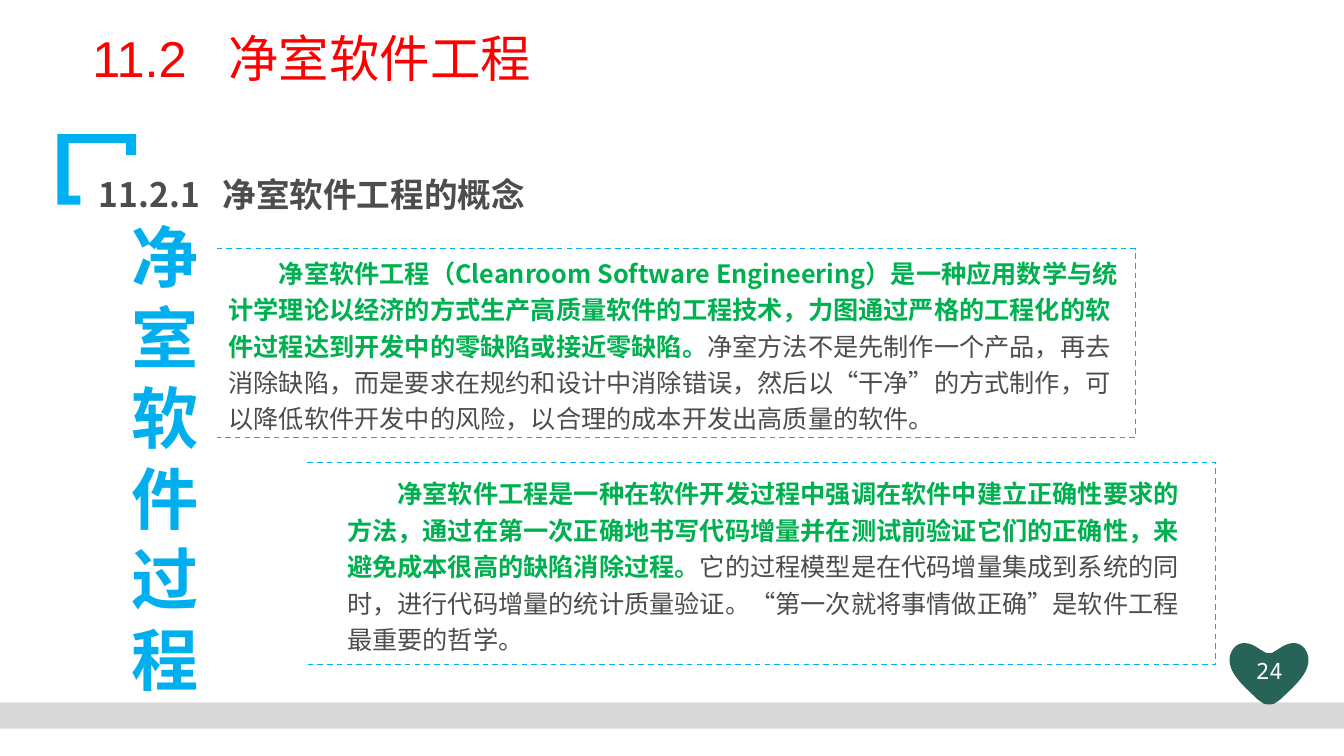
import pptx
import pptx.enum.dml
import pptx.enum.shapes
import pptx.enum.text
import pptx.oxml
import pptx.oxml.ns
import pptx.util
from lxml import etree
from pptx.dml.color import RGBColor

Cm, Pt = pptx.util.Cm, pptx.util.Pt
ALIGN, ANCHOR = pptx.enum.text.PP_ALIGN, pptx.enum.text.MSO_ANCHOR
CJK = "Noto Sans CJK SC"
COLORS = {
    "title": "FF0000", "accent": "00B0F0", "vertical": "01AFEE", "body": "4D4D4D",
    "key": "00B050", "band": "D9D9D9", "heart": "276357", "page": "FFFFFF",
}

# Corner bracket outline, in cm
BRACKET = [(1.45, 3.38), (3.43, 3.38), (3.43, 3.91), (3.18, 3.91), (3.18, 3.61),
           (1.73, 3.61), (1.73, 4.93), (2.03, 4.93), (2.03, 5.16), (1.45, 5.16)]

# Right half of the heart: curves as offsets from its axis, in cm
HEART_AXIS = 31.98
HEART_CURVES = [
    [(0, 16.46), (0.08, 16.46), (0.12, 16.43), (0.15, 16.41)],
    [(0.28, 16.33), (0.53, 16.15), (0.86, 16.13), (0.98, 16.51)],
    [(0.98, 16.51), (1.08, 16.92), (0.66, 17.27), (0.28, 17.63)],
    [(0.18, 17.7), (0.12, 17.75), (0.06, 17.75), (0, 17.75)],
]

# Text styles
TITLE = {"size": Pt(36), "name": "Arial", "bold": False, "color": "title"}
HEADING = {"size": Pt(24), "name": CJK, "bold": True, "color": "body"}
VERTICAL = {"size": Pt(48), "name": "Noto Sans CJK JP", "bold": True, "color": "vertical"}
KEY = {"size": Pt(18), "name": CJK, "bold": True, "color": "key"}
BODY = {**KEY, "bold": False, "color": "body"}
PAGE = {"size": Pt(16), "name": "Noto Sans Mono", "bold": False, "color": "page"}


def rgb(name):
    return RGBColor.from_string(COLORS[name])


def apply_format(target, values):
    for name, value in values.items():
        setattr(target, name, value)


def fill_text(shape, runs, frame_format, paragraph_format, tab=None, indent=None):
    """Write one paragraph of (text, style) runs into a shape."""
    frame = shape.text_frame
    apply_format(frame, {"word_wrap": True, **frame_format})
    paragraph = frame.paragraphs[0]
    properties = paragraph._p.get_or_add_pPr()
    if indent:
        properties.set("indent", str(indent))
    if tab:
        stops = etree.SubElement(properties, pptx.oxml.ns.qn("a:tabLst"))
        etree.SubElement(stops, pptx.oxml.ns.qn("a:tab"), pos=str(tab), algn="l")
    apply_format(paragraph, paragraph_format)
    for text, style in runs:
        run = paragraph.add_run()
        run.text = text
        apply_format(run.font, {k: v for k, v in style.items() if k != "color"})
        run.font.color.rgb = rgb(style["color"])
        east_asian = style["name"] if "CJK" in style["name"] else CJK
        etree.SubElement(run._r.get_or_add_rPr(), pptx.oxml.ns.qn("a:ea"),
                         typeface=east_asian)


def add_label(slide, box, text, style, frame_format, paragraph_format, tab=None):
    label = slide.shapes.add_textbox(*map(Cm, box))
    fill_text(label, [(text, style)], frame_format, paragraph_format, tab)


def add_outline(slide, points, close=True):
    start, *rest = [(Cm(x), Cm(y)) for x, y in points]
    builder = slide.shapes.build_freeform(*start)
    builder.add_line_segments(rest, close=close)
    outline = builder.convert_to_shape()
    outline.shadow.inherit = False
    return outline


def paint(shape, color):
    shape.shadow.inherit = False
    shape.fill.solid()
    shape.fill.fore_color.rgb = rgb(color)
    shape.line.fill.background()


def curve_points(curve, steps=12):
    """Sample a cubic curve at equal parameter steps."""
    for step in range(steps + 1):
        t = step / steps
        weights = ((1 - t) ** 3, 3 * t * (1 - t) ** 2, 3 * t * t * (1 - t), t ** 3)
        yield tuple(sum(w * p[axis] for w, p in zip(weights, curve)) for axis in (0, 1))


def add_heart(slide):
    half = [point for curve in HEART_CURVES for point in curve_points(curve)]
    right = [(HEART_AXIS + x, y) for x, y in half]
    left = [(HEART_AXIS - x, y) for x, y in reversed(half)]
    paint(add_outline(slide, right + left), "heart")


def add_panel(slide, box, margins, runs):
    """Text panel with a dashed border that is open on the left."""
    left, top, width, height = box
    right, bottom = left + width, top + height
    panel = add_outline(
        slide, [(left, top), (right, top), (right, bottom), (left, bottom)], close=False)
    panel.fill.background()
    panel.line.color.rgb = rgb("accent")
    apply_format(panel.line, {"width": Pt(1),
                              "dash_style": pptx.enum.dml.MSO_LINE.DASH})
    sides = ("margin_left", "margin_top", "margin_right", "margin_bottom")
    frame_format = {"vertical_anchor": ANCHOR.MIDDLE, **dict(zip(sides, map(Cm, margins)))}
    fill_text(panel, runs, frame_format,
              {"alignment": ALIGN.LEFT, "line_spacing": Pt(26)}, indent=Cm(1.27))


def main():
    deck = pptx.Presentation()
    apply_format(deck, {"slide_width": Cm(33.87), "slide_height": Cm(19.05)})
    slide = deck.slides.add_slide(deck.slide_layouts[6])

    # Frame: bracket, bottom band, heart with page number
    paint(add_outline(slide, BRACKET), "accent")
    paint(slide.shapes.add_shape(pptx.enum.shapes.MSO_SHAPE.RECTANGLE,
                                 *map(Cm, (0, 17.7, 33.87, 0.66))), "band")
    add_heart(slide)
    add_label(slide, (31.1, 16.43, 1.78, 0.99), "24", PAGE, {},
              {"alignment": ALIGN.CENTER})

    # Headings
    add_label(slide, (2.08, 0.74, 23.37, 2.39), "11.2\t净室软件工程", TITLE, {},
              {"line_spacing": 0.9}, tab=Cm(3.43))
    add_label(slide, (2.24, 3.96, 16.05, 1.57), "11.2.1\t净室软件工程的概念", HEADING, {},
              {"line_spacing": Pt(37.5)}, tab=Cm(3.12))

    # Concept panels beside the vertical caption
    add_panel(slide, (5.46, 6.27, 23.16, 4.75), (0.3, 0.13, 0.3, 0.13), [
        ("净室软件工程（Cleanroom Software Engineering）是一种应用数学与统计学理论以经济的方式"
         "生产高质量软件的工程技术，力图通过严格的工程化的软件过程达到开发中的零缺陷或接近零缺陷。", KEY),
        ("净室方法不是先制作一个产品，再去消除缺陷，而是要求在规约和设计中消除错误，"
         "然后以“干净”的方式制作，可以降低软件开发中的风险，以合理的成本开发出高质量的软件。", BODY)])
    add_label(slide, (2.77, 8.2, 2.77, 6.65), "净室软件过程", VERTICAL,
              {"vertical_anchor": ANCHOR.MIDDLE},
              {"alignment": ALIGN.CENTER, "line_spacing": Pt(57.5)})
    add_panel(slide, (7.75, 11.66, 22.89, 5.08), (1, 0.5, 0.5, 0.5), [
        ("净室软件工程是一种在软件开发过程中强调在软件中建立正确性要求的方法，"
         "通过在第一次正确地书写代码增量并在测试前验证它们的正确性，来避免成本很高的缺陷消除过程。", KEY),
        ("它的过程模型是在代码增量集成到系统的同时，进行代码增量的统计质量验证。"
         "“第一次就将事情做正确”是软件工程最重要的哲学。", BODY)])

    deck.save("out.pptx")


if __name__ == "__main__":
    main()
